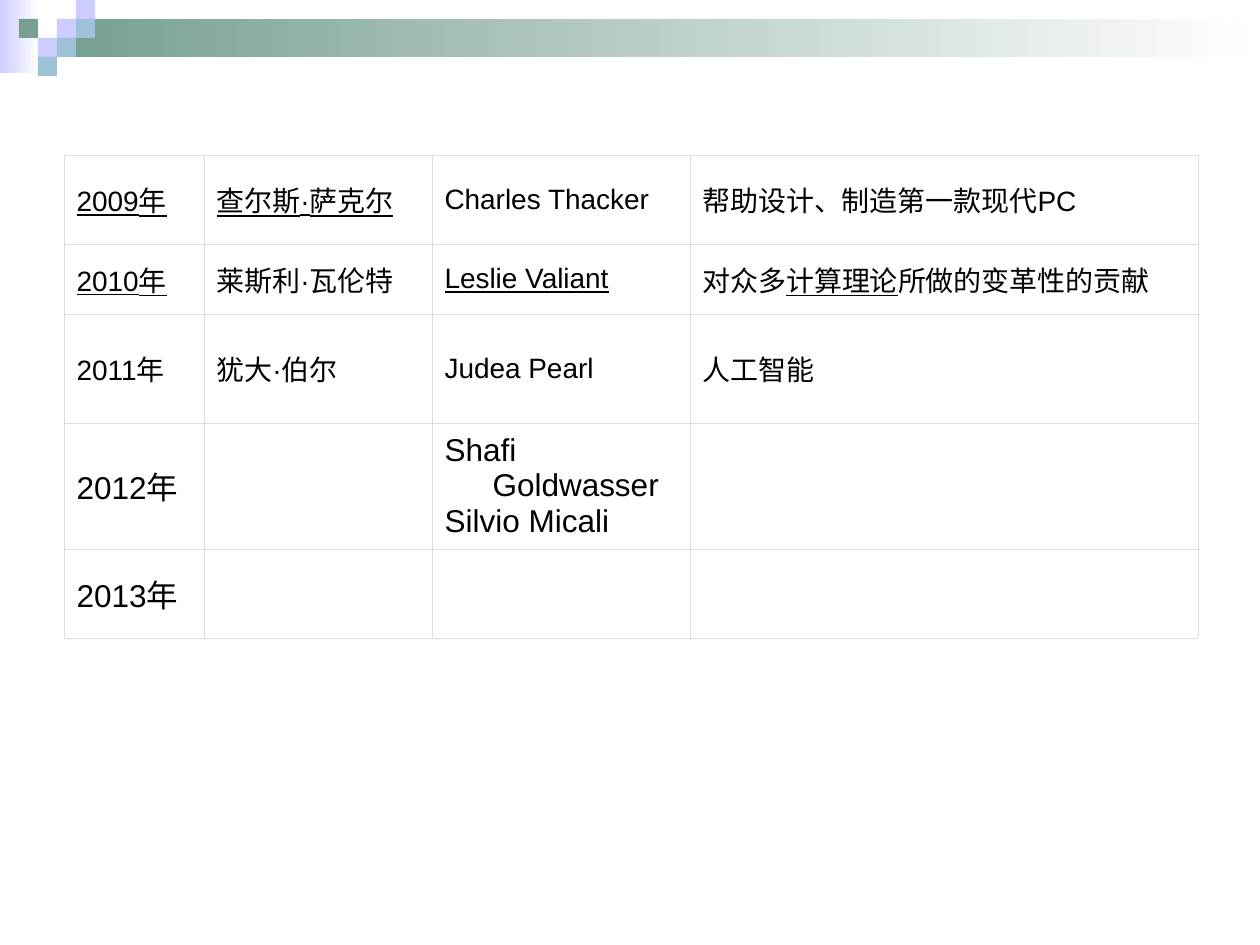
from lxml import etree
from pptx import Presentation
from pptx.dml.color import RGBColor
from pptx.enum.shapes import MSO_SHAPE
from pptx.enum.text import MSO_ANCHOR
from pptx.oxml.ns import qn
from pptx.util import Pt

RECTANGLE = MSO_SHAPE.RECTANGLE
MIDDLE = MSO_ANCHOR.MIDDLE
SCALE = 914400 / 126  # EMU in one px

COLORS = {
    "white": "FFFFFF",
    "lilac": "CCCCFF",
    "green": "779F92",
    "blue": "9DC2D7",
    "border": "DDDDDD",
    "text": "000000",
}

SQUARE = 19
# Column, row and colour of each square in the corner pattern
SQUARES = [
    (3, 1, "lilac"), (4, 0, "lilac"), (4, 1, "blue"), (2, 2, "lilac"),
    (1, 1, "green"), (3, 2, "blue"), (2, 3, "blue"),
]

COLUMN_WIDTHS = [140, 228, 258, 508]
# Row height, text size and cell texts; underscores enclose underlined text
AWARD_ROWS = [
    (89, 16, ["_2009年_", "_查尔斯·萨克尔_", "Charles Thacker",
              "帮助设计、制造第一款现代PC"]),
    (70, 16, ["_2010年_", "莱斯利·瓦伦特", "_Leslie Valiant_",
              "对众多_计算理论_所做的变革性的贡献"]),
    (109, 16, ["2011年", "犹大·伯尔", "Judea Pearl", "人工智能"]),
    (126, 18, ["2012年", "", "Shafi Goldwasser\nSilvio Micali", ""]),
    (89, 18, ["2013年", "", "", ""]),
]


def px(length):
    return round(length * SCALE)


def rgb(name):
    return RGBColor.from_string(COLORS[name])


def add_rectangle(slide, left, top, width, height, color, fade=False):
    shape = slide.shapes.add_shape(
        RECTANGLE, px(left), px(top), px(width), px(height))
    shape.shadow.inherit = False
    shape.line.fill.background()
    if fade:
        shape.fill.gradient()
        shape.fill.gradient_angle = 0
        for stop, name in zip(shape.fill.gradient_stops, (color, "white")):
            stop.color.rgb = rgb(name)
    else:
        shape.fill.solid()
        shape.fill.fore_color.rgb = rgb(color)


def add_header(slide, left, top, width):
    # Fading bands
    add_rectangle(slide, left, top, 39, 73, "lilac", fade=True)
    band_left = 3 * SQUARE
    add_rectangle(slide, left + band_left, top + SQUARE,
                  width - band_left, 2 * SQUARE, "green", fade=True)
    # Corner squares
    for column, row, color in SQUARES:
        add_rectangle(slide, left + column * SQUARE, top + row * SQUARE,
                      SQUARE, SQUARE, color)


def set_borders(cell):
    properties = cell._tc.get_or_add_tcPr()
    for index, side in enumerate(("a:lnL", "a:lnR", "a:lnT", "a:lnB")):
        line = etree.Element(qn(side), w=str(Pt(0.06)))
        fill = etree.SubElement(line, qn("a:solidFill"))
        etree.SubElement(fill, qn("a:srgbClr"), val=COLORS["border"])
        properties.insert(index, line)


def write_cell(cell, text, size):
    cell.vertical_anchor = MIDDLE
    cell.fill.solid()
    cell.fill.fore_color.rgb = rgb("white")
    set_borders(cell)
    if not text:
        return
    cell.text = text
    for paragraph, line in zip(cell.text_frame.paragraphs, text.split("\n")):
        paragraph.clear()
        # Hanging indent
        properties = paragraph._p.get_or_add_pPr()
        properties.set("marL", str(px(48)))
        properties.set("indent", str(px(-48)))
        for index, part in enumerate(line.split("_")):
            if not part:
                continue
            run = paragraph.add_run()
            run.text = part
            run.font.color.rgb = rgb("text")
            formats = {"name": "Arial", "size": Pt(size),
                       "underline": index % 2 == 1}
            for name, value in formats.items():
                setattr(run.font, name, value)


def add_award_table(slide, left, top):
    height = sum(row[0] for row in AWARD_ROWS)
    table = slide.shapes.add_table(
        len(AWARD_ROWS), len(COLUMN_WIDTHS), px(left), px(top),
        px(sum(COLUMN_WIDTHS)), px(height)).table
    table.first_row = table.horz_banding = False
    for column, width in zip(table.columns, COLUMN_WIDTHS):
        column.width = px(width)
    for row, (row_height, size, texts) in zip(table.rows, AWARD_ROWS):
        row.height = px(row_height)
        for cell, text in zip(row.cells, texts):
            write_cell(cell, text, size)


def main():
    presentation = Presentation()
    presentation.slide_width = px(1260)
    presentation.slide_height = px(945)
    slide = presentation.slides.add_slide(presentation.slide_layouts[6])
    add_header(slide, 0, 0, 1260)
    add_award_table(slide, 64, 155)
    presentation.save("out.pptx")


if __name__ == "__main__":
    main()
